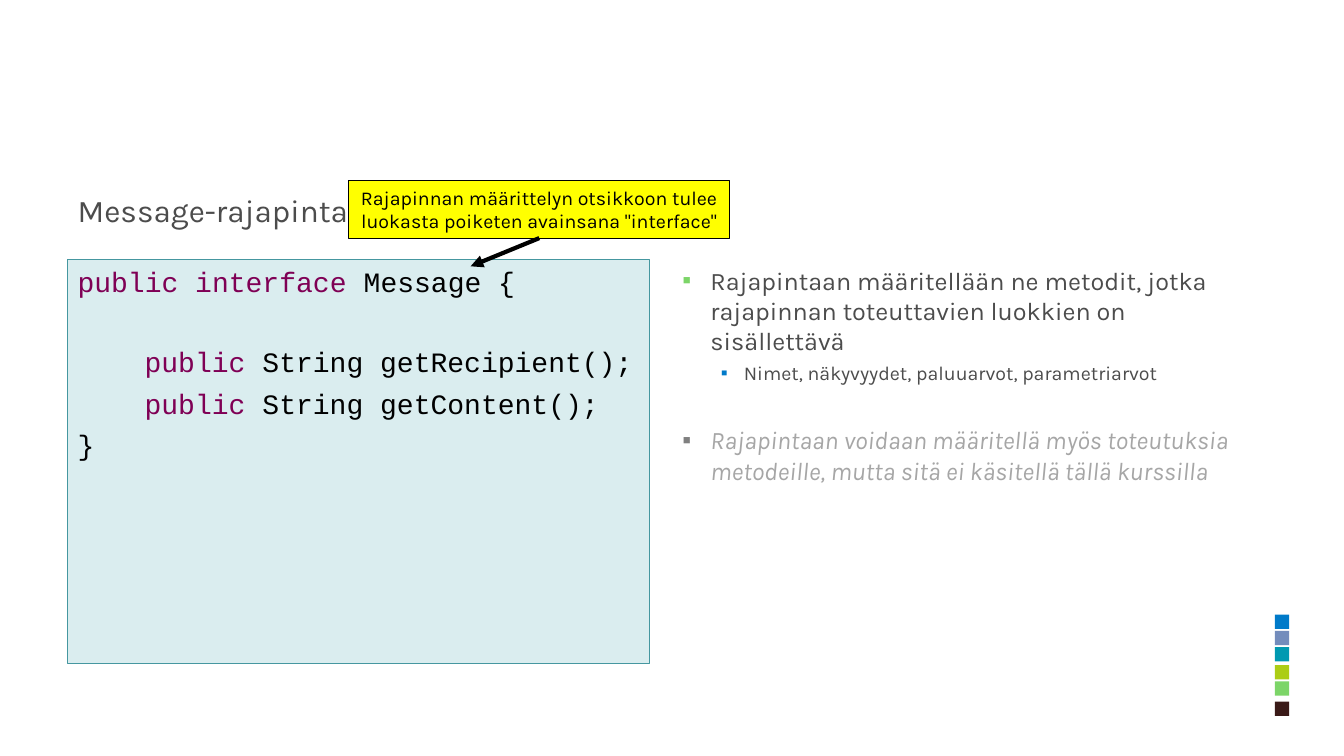
from lxml import etree
from pptx import Presentation
from pptx.dml.color import RGBColor
from pptx.enum.shapes import MSO_CONNECTOR, MSO_SHAPE
from pptx.enum.text import MSO_ANCHOR, MSO_AUTO_SIZE, PP_ALIGN
from pptx.oxml.ns import qn
from pptx.util import Cm, Pt

GREY = RGBColor(0x4C, 0x4C, 0x4C)
LIGHT_GREY = RGBColor(0xA6, 0xA6, 0xA6)
MID_GREY = RGBColor(0x80, 0x80, 0x80)
BLACK = RGBColor(0, 0, 0)
PURPLE = RGBColor(0x7F, 0x00, 0x55)
PALE_TEAL = RGBColor(0xDA, 0xED, 0xEF)
TEAL = RGBColor(0x45, 0x97, 0xA0)
YELLOW = RGBColor(0xFF, 0xFF, 0x00)
BLUE = RGBColor(0x00, 0x7A, 0xC9)
LAVENDER = RGBColor(0x73, 0x8C, 0xBC)
CYAN = RGBColor(0x00, 0x99, 0xB1)
LIME = RGBColor(0xAC, 0xCD, 0x15)
GREEN = RGBColor(0x7C, 0xD5, 0x68)
BROWN = RGBColor(0x3A, 0x1A, 0x18)

# Content
TITLE = "Message-rajapinta"
# keyword, rest of line, indent in cm, space before in pt
CODE = [
    ("public interface", " Message {", 0, 5.5),
    ("public ", "String getRecipient();", 1.69, 33),
    ("public ", "String getContent();", 1.69, 5.5),
    ("", "}", 0, 5.5),
]
# text, level, bullet colour, space before in pt, font
POINTS = [
    ("Rajapintaan määritellään ne metodit, jotka rajapinnan toteuttavien "
     "luokkien on sisällettävä", 0, GREEN, 4, dict(size=Pt(18), color=GREY)),
    ("Nimet, näkyvyydet, paluuarvot, parametriarvot", 1, BLUE, 3.5,
     dict(size=Pt(14), color=GREY)),
    ("Rajapintaan voidaan määritellä myös toteutuksia metodeille, mutta sitä "
     "ei käsitellä tällä kurssilla", 0, MID_GREY, 29,
     dict(size=Pt(18), color=LIGHT_GREY, italic=True)),
]
INDENTS = [(0.71, -0.71), (1.55, -0.58)]  # left margin and hanging, per level
CALLOUT = ('Rajapinnan määrittelyn otsikkoon tulee luokasta poiketen '
           'avainsana "interface"')
SWATCHES = [(BLUE, 15.49), (LAVENDER, 15.9), (CYAN, 16.31),
            (LIME, 16.76), (GREEN, 17.17), (BROWN, 17.68)]

# Layout in cm
LEFT, TITLE_TOP, TITLE_H = 1.7, 4.01, 2.54
BODY_TOP, BODY_W, BODY_H = TITLE_TOP + TITLE_H, 14.68, 10.16
FULL_W, GAP = 29.92, 0.56


def place(sp, x, y, w, h):
    sp.left, sp.top, sp.width, sp.height = Cm(x), Cm(y), Cm(w), Cm(h)
    sp.text_frame.auto_size = MSO_AUTO_SIZE.NONE
    sp.text_frame.word_wrap = True


def add_run(p, text, color, name="Karla", **font):
    r = p.add_run()
    r.text = text
    r.font.color.rgb = color
    for key, value in dict(font, name=name).items():
        setattr(r.font, key, value)


def next_paragraph(tf, i, space):
    p = tf.add_paragraph() if i else tf.paragraphs[0]
    p.space_before = Pt(space)
    return p


def set_bullet(p, margin, hanging, color=None):
    pPr = p._p.get_or_add_pPr()
    pPr.set("marL", str(Cm(margin)))
    pPr.set("indent", str(Cm(hanging)))
    if color is None:
        etree.SubElement(pPr, qn("a:buNone"))
        return
    clr = etree.SubElement(pPr, qn("a:buClr"))
    etree.SubElement(clr, qn("a:srgbClr"), val=str(color))
    etree.SubElement(pPr, qn("a:buFont"), typeface="Arial")
    etree.SubElement(pPr, qn("a:buChar"), char="▪")


def add_box(shapes, x, y, w, h, fill, line=None):
    sp = shapes.add_shape(MSO_SHAPE.RECTANGLE, Cm(x), Cm(y), Cm(w), Cm(h))
    sp.shadow.inherit = False
    paint(sp, fill, line)
    return sp


def paint(sp, fill, line):
    sp.fill.solid()
    sp.fill.fore_color.rgb = fill
    if line is None:
        sp.line.fill.background()
    else:
        sp.line.color.rgb = line
        sp.line.width = Pt(0.75)


def main():
    prs = Presentation()
    prs.slide_width, prs.slide_height = Cm(33.87), Cm(19.05)
    s = prs.slides.add_slide(prs.slide_layouts[3])
    title, code, points = s.placeholders

    # Colour swatches
    for color, top in SWATCHES:
        add_box(s.shapes, 32.13, top, 0.36, 0.36, color)

    # Title
    place(title, LEFT, TITLE_TOP, FULL_W, TITLE_H)
    title.text_frame.vertical_anchor = MSO_ANCHOR.MIDDLE
    p = title.text_frame.paragraphs[0]
    p.alignment = PP_ALIGN.LEFT
    add_run(p, TITLE, GREY, size=Pt(22.5))

    # Code panel
    place(code, LEFT, BODY_TOP, BODY_W, BODY_H)
    paint(code, PALE_TEAL, TEAL)
    for i, (keyword, rest, indent, space) in enumerate(CODE):
        p = next_paragraph(code.text_frame, i, space)
        set_bullet(p, indent, 0)
        for text, color in ((keyword, PURPLE), (rest, BLACK)):
            if text:
                add_run(p, text, color, "Courier New", size=Pt(20))

    # Bullet list
    place(points, LEFT + BODY_W + GAP, BODY_TOP, BODY_W, BODY_H)
    for i, (text, level, bullet, space, font) in enumerate(POINTS):
        p = next_paragraph(points.text_frame, i, space)
        p.level = level
        set_bullet(p, *INDENTS[level], bullet)
        add_run(p, text, **font)

    # Callout and its arrow
    sp = add_box(s.shapes, 8.79, 4.55, 9.6, 1.45, YELLOW, BLACK)
    tf = sp.text_frame
    tf.word_wrap = True
    tf.margin_left = tf.margin_right = Cm(0.15)
    p = tf.paragraphs[0]
    p.alignment = PP_ALIGN.CENTER
    add_run(p, CALLOUT, BLACK, size=Pt(14))

    arrow = s.shapes.add_connector(MSO_CONNECTOR.STRAIGHT,
                                   Cm(13.59), Cm(6), Cm(11.86), Cm(6.71))
    arrow.line.color.rgb = BLACK
    arrow.line.width = Pt(3)
    etree.SubElement(arrow.line._get_or_add_ln(), qn("a:tailEnd"), type="triangle")
    etree.SubElement(arrow._element.spPr, qn("a:effectLst"))

    prs.save("out.pptx")


if __name__ == "__main__":
    main()
